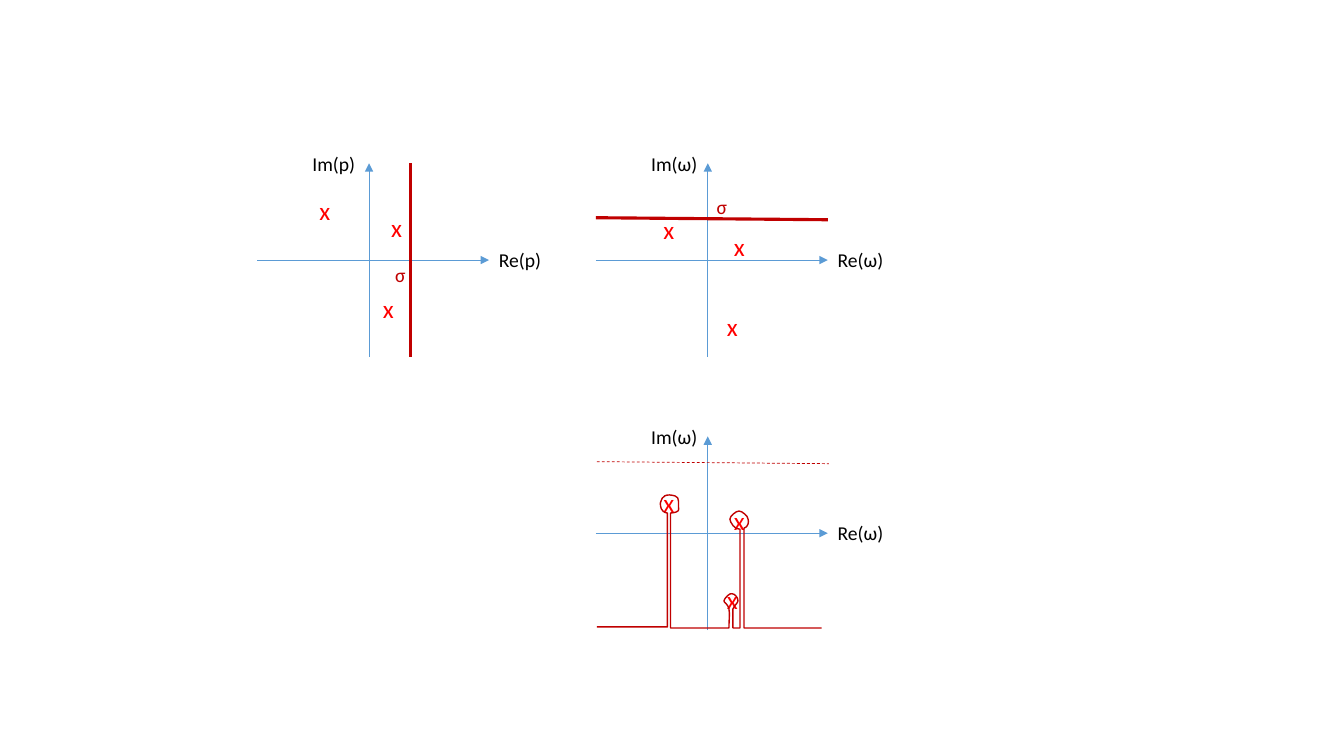
from lxml.etree import SubElement
from pptx import Presentation
from pptx.dml.color import RGBColor
from pptx.enum.dml import MSO_LINE
from pptx.enum.shapes import MSO_CONNECTOR
from pptx.enum.text import MSO_AUTO_SIZE
from pptx.oxml.ns import qn
from pptx.util import Pt

PX = 9144  # EMU per px, 100 px to the inch
BLUE, DARK_RED, RED, BLACK = "5B9BD5", "C00000", "FF0000", "000000"


def add_text(shapes, text, x, y, w, h, size=14, color=BLACK):
    box = shapes.add_textbox(x * PX, y * PX, w * PX, h * PX)
    frame = box.text_frame
    frame.word_wrap = False
    frame.auto_size = MSO_AUTO_SIZE.SHAPE_TO_FIT_TEXT
    run = frame.paragraphs[0].add_run()
    run.text = text
    run.font.name = "Calibri"
    run.font.size = Pt(size)
    run.font.color.rgb = RGBColor.from_string(color)


def add_line(shapes, x1, y1, x2, y2, color=DARK_RED, width=2.25, arrow=False, dash=None):
    line = shapes.add_connector(MSO_CONNECTOR.STRAIGHT, x1 * PX, y1 * PX, x2 * PX, y2 * PX)
    line.line.color.rgb = RGBColor.from_string(color)
    line.line.width = Pt(width)
    if dash:
        line.line.dash_style = dash
    if arrow:
        SubElement(line.line._get_or_add_ln(), qn("a:tailEnd"), type="triangle")
    SubElement(line._element.spPr, qn("a:effectLst"))


prs = Presentation()
prs.slide_width, prs.slide_height = 1333 * PX, 750 * PX
slide = prs.slides.add_slide(prs.slide_layouts[6])

# Origin, variable, label width, and pole boxes measured from the origin
p_poles = [(-59, -69), (4, 28), (12, -52)]
omega_poles = [(-54, -50), (9, 46), (16, -33)]
planes = [
    (366, 258, "p", 63, p_poles),
    (702, 258, "ω", 66, omega_poles),
    (702, 529, "ω", 66, omega_poles),
]
plane_shapes = []
for x0, y0, variable, label_width, poles in planes:
    shapes = slide.shapes.add_group_shape().shapes
    plane_shapes.append(shapes)
    add_line(shapes, x0 - 111, y0, x0 + 119, y0, color=BLUE, width=0.5, arrow=True)
    add_line(shapes, x0, y0 + 96, x0, y0 - 96, color=BLUE, width=0.5, arrow=True)
    add_text(shapes, f"Re({variable})", x0 + 119, y0 - 17, label_width, 34)
    add_text(shapes, f"Im({variable})", x0 - 66, y0 - 112, label_width, 34)
    for dx, dy in poles:
        add_text(shapes, "x", x0 + dx, y0 + dy, 31, 40, size=18, color=RED)
p_plane, omega_plane, deformed_plane = plane_shapes

# Integration lines at distance σ
add_line(p_plane, 407, 162, 407, 354)
add_text(p_plane, "σ", 382, 256, 31, 34, color=DARK_RED)
add_line(omega_plane, 591, 216, 821, 218)
add_text(omega_plane, "σ", 701, 188, 31, 34, color=DARK_RED)

# Deformed contour: pairs are corners, sixes are Bézier segments
contour = [
    (592, 622), (662, 622), (662, 509),
    (655, 508, 655, 502, 655, 499), (656, 497, 656, 491, 664, 491),
    (674, 492, 673, 494, 673, 503), (673, 506, 675, 508, 665, 509),
    (665, 623), (723, 623),
    (723, 617, 724, 608, 723, 604), (722, 599, 718, 598, 718, 596),
    (719, 593, 724, 588, 726, 589), (729, 589, 732, 593, 732, 596),
    (732, 598, 729, 600, 727, 604),
    (727, 623), (728, 623, 730, 623, 731, 623), (734, 623), (734, 525),
    (729, 526, 724, 518, 724, 515), (724, 512, 730, 507, 733, 507),
    (736, 507, 742, 512, 742, 515), (743, 518, 742, 523, 738, 524),
    (738, 623), (815, 623),
]
builder = deformed_plane.build_freeform(*contour[0], scale=PX)
builder.add_line_segments([segment[-2:] for segment in contour[1:]], close=False)
path = builder.convert_to_shape()
path.shadow.inherit = False
path.fill.background()
path.line.color.rgb = RGBColor.from_string(DARK_RED)
path.line.width = Pt(1)

left = min(segment[-2] for segment in contour)
top = min(segment[-1] for segment in contour)
straight_parts = list(path._element.iter(qn("a:lnTo")))
for straight, segment in zip(straight_parts, contour[1:]):
    if len(segment) == 6:
        straight.tag = qn("a:cubicBezTo")
        straight.remove(straight[0])
        for x, y in zip(segment[::2], segment[1::2]):
            SubElement(straight, qn("a:pt"), x=str(x - left), y=str(y - top))

add_line(deformed_plane, 592, 458, 822, 460, width=0.5, dash=MSO_LINE.DASH)

prs.save("out.pptx")
